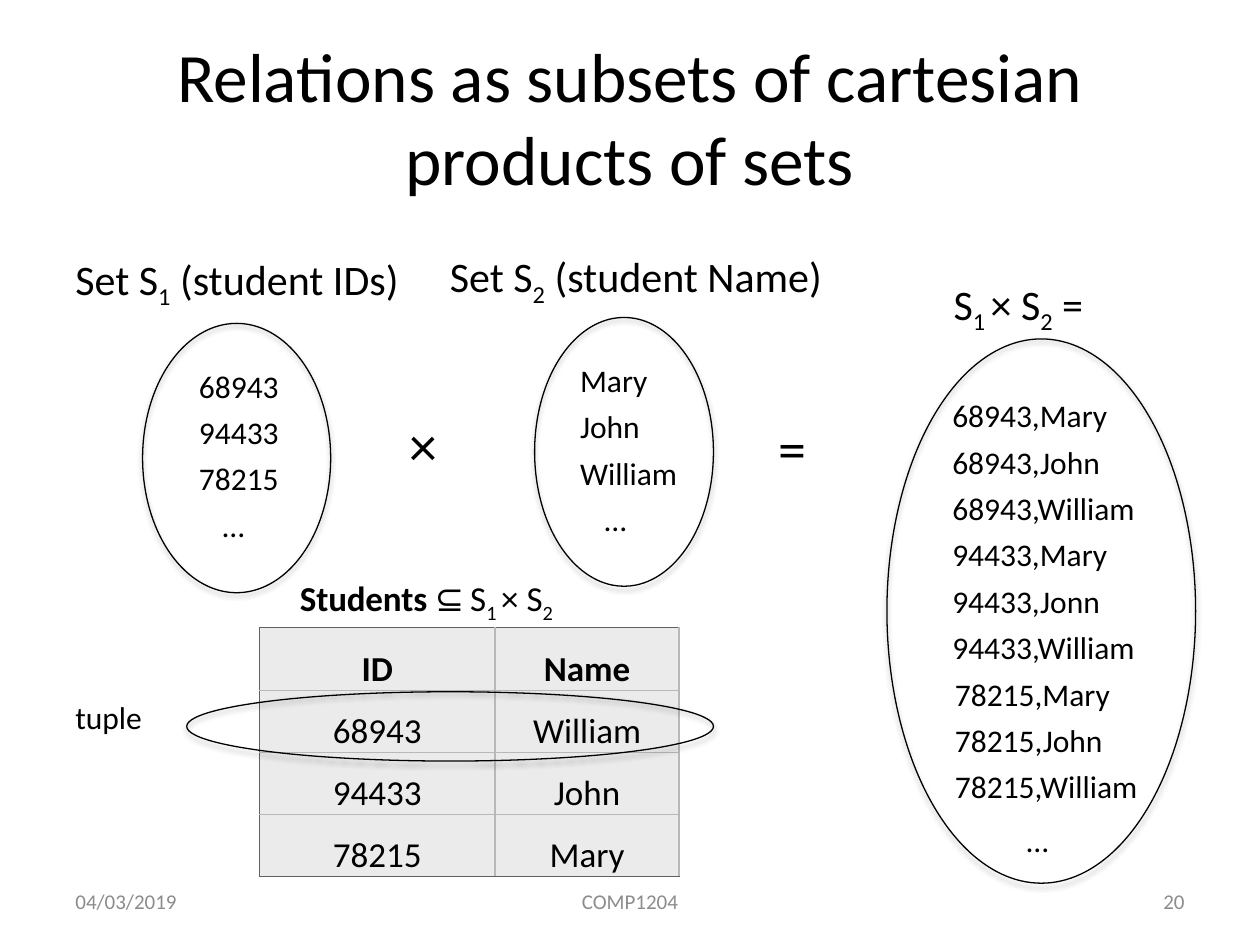
"""Build a slide on relations as subsets of cartesian products of sets."""
from lxml import etree
from pptx import Presentation, util as u
from pptx.dml import color
from pptx.enum import shapes, text
from pptx.oxml import ns

Pt = u.Pt
COLORS = {"ink": "000000", "footer": "8C8C8C", "cell": "EBEBEB", "outer": "606060", "inner": "B8B8B8"}
LEFT, CENTER, RIGHT = text.PP_ALIGN.LEFT, text.PP_ALIGN.CENTER, text.PP_ALIGN.RIGHT


def write(paragraph, marked, size, ink="ink", bold=False, spacing=0):
    """Add runs to a paragraph; parts between tildes become subscripts."""
    for index, part in enumerate(marked.split("~")):
        if not part:
            continue
        run = paragraph.add_run()
        run.text = part
        for name, value in {"name": "Calibri", "size": Pt(size), "bold": bold}.items():
            setattr(run.font, name, value)
        run.font.color.rgb = color.RGBColor.from_string(COLORS[ink])
        properties = run._r.get_or_add_rPr()
        if index % 2:
            properties.set("baseline", "-25000")
        if spacing:
            properties.set("spc", str(spacing))


def add_label(slide, marked, box, size=18, ink="ink", align=LEFT, **frame_format):
    """Add a text box holding one marked line and return its paragraph."""
    frame = slide.shapes.add_textbox(*map(Pt, box)).text_frame
    for name, value in {"word_wrap": False, **frame_format}.items():
        setattr(frame, name, value)
    paragraph = frame.paragraphs[0]
    paragraph.alignment = align
    write(paragraph, marked, size, ink)
    return paragraph


presentation = Presentation()
presentation.slide_width, presentation.slide_height = Pt(720), Pt(540)
slide = presentation.slides.add_slide(presentation.slide_layouts[5])

title = slide.shapes.title
for name, value in {"left": 36, "top": 21.6, "width": 648, "height": 90}.items():
    setattr(title, name, Pt(value))
title.text_frame.vertical_anchor = text.MSO_ANCHOR.MIDDLE
title.text_frame.word_wrap = True
title.text_frame.paragraphs[0].alignment = CENTER
write(title.text_frame.paragraphs[0], "Relations as subsets of cartesian products of sets", 39.6)

for content, left, width, align in [
    ("04/03/2019", 36, 168, LEFT),
    ("COMP1204", 246, 228, CENTER),
    ("20", 516, 168, RIGHT),
]:
    add_label(slide, content, (left, 500.5, width, 28.75), 12, "footer", align,
              word_wrap=True, vertical_anchor=text.MSO_ANCHOR.MIDDLE)

table = slide.shapes.add_table(4, 2, Pt(148.3), Pt(358.6), Pt(239.8), Pt(142)).table
for column, width in zip(table.columns, (134.6, 105.2)):
    column.width = Pt(width)
records = [("ID", "Name"), ("68943", "William"), ("94433", "John"), ("78215", "Mary")]
for row, record in enumerate(records):
    table.rows[row].height = Pt(36 if row == 0 else 35.4)
    for column, value in enumerate(record):
        cell = table.cell(row, column)
        margins = {"left": 0, "top": 12 if row == 0 else 11.3, "right": 0, "bottom": 0}
        for side, margin in margins.items():
            setattr(cell, f"margin_{side}", Pt(margin))
        edges = {"lnL": column == 0, "lnR": False, "lnT": row == 0, "lnB": row == 3}
        for edge, is_outer in edges.items():
            line = etree.SubElement(cell._tc.get_or_add_tcPr(), ns.qn(f"a:{edge}"), w=str(Pt(1)))
            fill = etree.SubElement(line, ns.qn("a:solidFill"))
            etree.SubElement(fill, ns.qn("a:srgbClr"), val=COLORS["outer" if is_outer else "inner"])
        cell.fill.solid()
        cell.fill.fore_color.rgb = color.RGBColor.from_string(COLORS["cell"])
        paragraph = cell.text_frame.paragraphs[0]
        paragraph.alignment = CENTER
        write(paragraph, value, 20, bold=row == 0)

for box in [
    (81.5, 184.8, 107.5, 153.9),
    (305.5, 181.4, 102.2, 153.6),
    (506.8, 193.7, 176.4, 311),
    (106.7, 395.3, 301, 39.6),
]:
    ellipse = slide.shapes.add_shape(shapes.MSO_SHAPE.OVAL, *map(Pt, box))
    ellipse.fill.background()
    ellipse.line.color.rgb = color.RGBColor.from_string(COLORS["ink"])
    ellipse.line.width = Pt(0.75)
    ellipse.shadow.inherit = False
    effects = ellipse._element.spPr.find(ns.qn("a:effectLst"))
    shadow = etree.SubElement(effects, ns.qn("a:outerShdw"), blurRad=str(Pt(3.1)),
                              dist=str(Pt(1.8)), dir="5400000", rotWithShape="0")
    tint = etree.SubElement(shadow, ns.qn("a:srgbClr"), val=COLORS["ink"])
    etree.SubElement(tint, ns.qn("a:alpha"), val="35000")

for marked, box, size in [
    ("Set S~1~ (student IDs)", (36, 141.1, 210.2, 43.2), 24),
    ("Set S~2~ (student Name)", (250, 139.7, 231.1, 36.3), 24),
    ("S~1 ~× S~2~ =", (537.8, 155.5, 90, 36.3), 24),
    ("×", (226.8, 231.1, 31, 46), 32),
    ("=", (437.8, 232.6, 31, 46), 32),
    ("tuple", (36, 395.3, 53.3, 29), 18),
]:
    add_label(slide, marked, box, size)

WIDTHS = {"68943": 61.2, "Mary": 54, "John": 49.7, "William": 71.3}
PAIR_WIDTHS = {"Mary": 105.1, "John": 100.8, "Jonn": 100.8, "William": 123.1}
ELLIPSIS_WIDTH, PITCH = 27.4, 26.5
members = [(value, 106.6, 205.9 + PITCH * i, WIDTHS["68943"])
           for i, value in enumerate(("68943", "94433", "78215"))]
members += [(value, 324.4, 202.7 + PITCH * i, WIDTHS[value])
            for i, value in enumerate(("Mary", "John", "William"))]
pairs = [(number, name) for number, names in {
    "68943": ("Mary", "John", "William"),
    "94433": ("Mary", "Jonn", "William"),
    "78215": ("Mary", "John", "William"),
}.items() for name in names]
members += [(f"{number},{name}", 538.6 if number == "78215" else 537.1, 222.9 + PITCH * i, PAIR_WIDTHS[name])
            for i, (number, name) in enumerate(pairs)]
members += [("…", left, top, ELLIPSIS_WIDTH)
            for left, top in [(120.2, 285.8), (338.4, 282.2), (579.6, 465.8)]]
for value, left, top, width in members:
    add_label(slide, value, (left, top, width, 29.1))

caption = add_label(slide, "", (171.4, 328.3, 154.1, 25.2), 20, word_wrap=True,
                    margin_left=0, margin_top=Pt(1), margin_right=0, margin_bottom=0)
write(caption, "Students ", 20, bold=True, spacing=-10)
write(caption, "⊆ ", 20, spacing=-120)
write(caption, "S~1 ~× S~2~", 20)

presentation.save("out.pptx")
